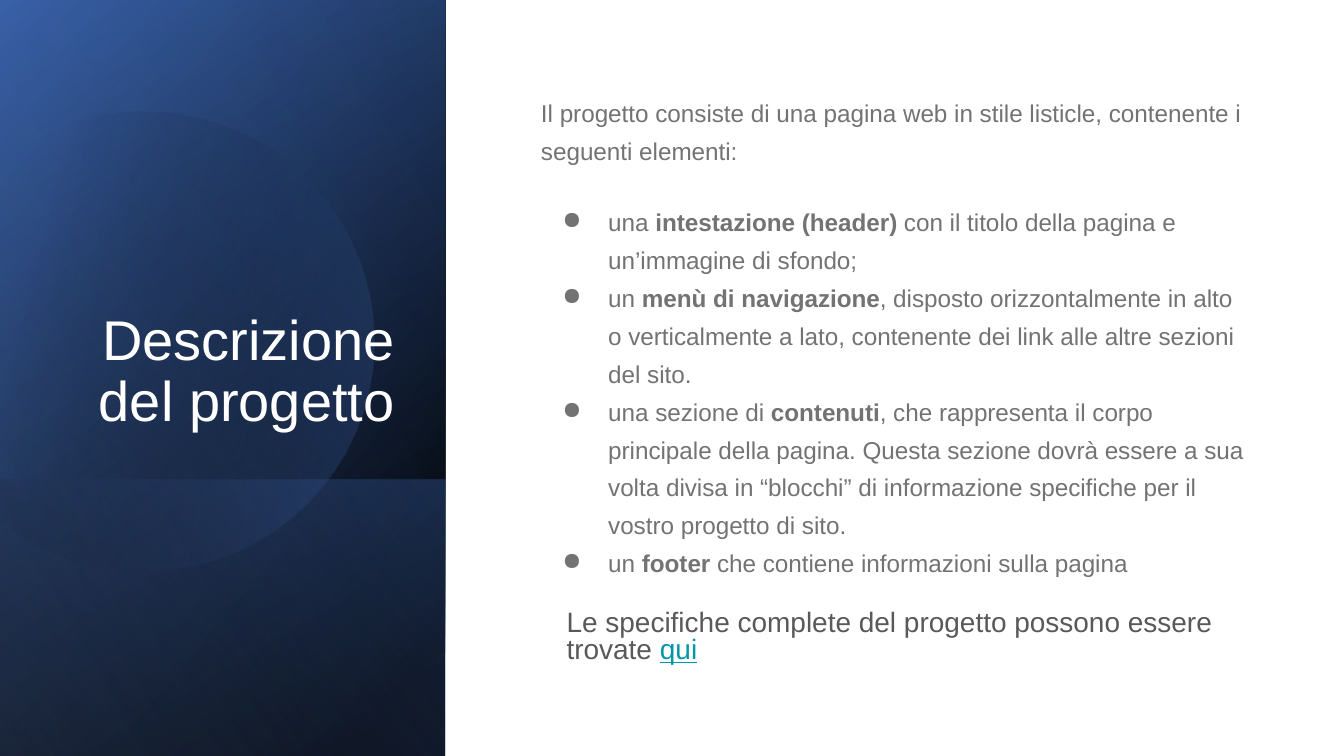
from math import cos, radians, sin

from pptx import Presentation
from pptx.dml.color import RGBColor
from pptx.enum.shapes import MSO_SHAPE
from pptx.enum.text import MSO_ANCHOR, PP_ALIGN
from pptx.oxml import parse_xml
from pptx.oxml.ns import nsdecls, qn
from pptx.util import Pt

RECT = MSO_SHAPE.RECTANGLE
BOTTOM, MIDDLE = MSO_ANCHOR.BOTTOM, MSO_ANCHOR.MIDDLE
LEFT, RIGHT = PP_ALIGN.LEFT, PP_ALIGN.RIGHT
WHITE = RGBColor(0xFF, 0xFF, 0xFF)
BLACK = RGBColor(0, 0, 0)
NAVY = RGBColor(0x2F, 0x54, 0x96)
BLUE = RGBColor(0x44, 0x72, 0xC4)
PALE = RGBColor(0x8D, 0xA9, 0xDB)
GRAY = RGBColor(0x73, 0x73, 0x73)
DARK = RGBColor(0x59, 0x59, 0x59)
TEAL = RGBColor(0, 0x97, 0xA7)

WIDE, HIGH, SIDE = 720, 405, 238.5
PANELS = [
    (0, HIGH, 50, [(0, BLACK, 100), (8, BLACK, 100), (100, NAVY, 100)]),
    (0, HIGH, 30, [(0, BLACK, 0), (99, BLUE, 46), (100, BLUE, 46)]),
    (257, 148, 130, [(0, BLUE, 29), (2, BLUE, 29), (100, BLACK, 30)]),
]
GLOW = [(0, BLACK, 0), (29, BLACK, 0), (100, BLUE, 43)]
SHEEN = [(0, BLACK, 0), (99, PALE, 11), (100, PALE, 11)]
START = (79.9, 59.8)
CURVES = [
    [(132.5, 60.5), (180.7, 95.8), (195.8, 149)],
    [(214.6, 213.8), (177.1, 282.2), (111.6, 301)],
    [(70.6, 313.2), (28.8, 303.1), (-1.4, 277.2)],
    [(-7.9, 271.4)],
    [(-7.9, 94.3)],
    [(0, 87.1)],
    [(12.2, 77), (27.4, 69.1), (43.2, 64.1)],
    [(55.4, 61.2), (67.7, 59), START],
]
INTRO = "Il progetto consiste di una pagina web in stile listicle, contenente i seguenti elementi:"
ITEMS = [
    ("una ", "intestazione (header)", " con il titolo della pagina e un’immagine di sfondo;"),
    ("un ", "menù di navigazione", ", disposto orizzontalmente in alto o verticalmente a lato, "
     "contenente dei link alle altre sezioni del sito."),
    ("una sezione di ", "contenuti", ", che rappresenta il corpo principale della pagina. "
     "Questa sezione dovrà essere a sua volta divisa in “blocchi” di informazione specifiche "
     "per il vostro progetto di sito."),
    ("un ", "footer", " che contiene informazioni sulla pagina"),
]


def trace(start, curves, steps=16):
    """Return points along a chain of lines and cubic curves."""
    points = [start]
    for curve in curves:
        if len(curve) == 1:
            points += curve
            continue
        ends = [points[-1], *curve]
        for step in range(1, steps + 1):
            t = step / steps
            parts = ((1 - t) ** 3, 3 * t * (1 - t) ** 2, 3 * t * t * (1 - t), t ** 3)
            points.append(tuple(sum(k * p[i] for k, p in zip(parts, ends)) for i in (0, 1)))
    return points


class Deck:
    """Holds the style and the current slide."""

    font = "Arial"

    def __init__(self):
        self.show = Presentation()
        self.show.slide_width, self.show.slide_height = Pt(WIDE), Pt(HIGH)
        self.slide = self.show.slides.add_slide(self.show.slide_layouts[6])

    def rect(self, x, y, w, h, color=WHITE):
        shape = self.slide.shapes.add_shape(RECT, Pt(x), Pt(y), Pt(w), Pt(h))
        shape.shadow.inherit = False
        shape.line.fill.background()
        shape.fill.solid()
        shape.fill.fore_color.rgb = color
        return shape

    def fade(self, shape, angle, stops):
        marks = "".join(
            f'<a:gs pos="{pos * 1000}"><a:srgbClr val="{color}">'
            f'<a:alpha val="{alpha * 1000}"/></a:srgbClr></a:gs>'
            for pos, color, alpha in stops)
        grad = parse_xml(
            f'<a:gradFill {nsdecls("a")} rotWithShape="1"><a:gsLst>{marks}</a:gsLst>'
            f'<a:lin ang="{angle * 60000}" scaled="0"/></a:gradFill>')
        props = shape._element.spPr
        props.replace(props.find(qn("a:solidFill")), grad)

    def panel(self, y, h, angle, stops):
        shape = self.rect((SIDE - h) / 2, y + (h - SIDE) / 2, h, SIDE)
        shape.rotation = 90
        shape._element.spPr.find(qn("a:xfrm")).set("flipH", "1")
        self.fade(shape, angle, stops)

    def disc(self, points, mid, turn, angle, stops):
        c, s = cos(radians(-turn)), sin(radians(-turn))
        spun = []
        for x, y in points:
            dx, dy = x - mid[0], y - mid[1]
            spun.append((Pt(mid[0] + c * dx - s * dy), Pt(mid[1] + s * dx + c * dy)))
        pen = self.slide.shapes.build_freeform(*spun[0])
        pen.add_line_segments(spun[1:], close=True)
        shape = pen.convert_to_shape()
        shape.shadow.inherit = False
        shape.line.fill.background()
        shape.fill.solid()
        shape.rotation = turn
        self.fade(shape, angle, stops)

    def box(self, x, y, w, h, anchor):
        frame = self.slide.shapes.add_textbox(Pt(x), Pt(y), Pt(w), Pt(h)).text_frame
        frame.word_wrap = True
        frame.vertical_anchor = anchor
        frame.margin_left = frame.margin_right = Pt(5.4)
        frame.margin_top = frame.margin_bottom = Pt(2.7)
        return frame

    def para(self, frame, space, before=0, align=LEFT, indent=0, bullet=False):
        para = frame.paragraphs[0]
        if para.runs:
            para = frame.add_paragraph()
        para.alignment = align
        para.line_spacing = space
        para.space_before = Pt(before)
        props = para._p.get_or_add_pPr()
        props.set("marL", str(Pt(indent)))
        if bullet:
            props.set("indent", str(Pt(-24.5)))
            props.append(parse_xml(
                f'<a:buClr {nsdecls("a")}><a:srgbClr val="{GRAY}"/></a:buClr>'))
            props.append(parse_xml(f'<a:buChar {nsdecls("a")} char="●"/>'))
        return para

    def run(self, para, text, size=13, color=GRAY, bold=False, under=False):
        run = para.add_run()
        run.text = text
        font = run.font
        font.name, font.size, font.bold, font.underline = self.font, Pt(size), bold, under
        font.color.rgb = color


def main():
    deck = Deck()
    deck.rect(0, 0, WIDE, HIGH)
    for panel in PANELS:
        deck.panel(*panel)
    deck.disc(trace(START, CURVES), (85.7, 180.7), -16.1, 30, GLOW)
    deck.panel(0, HIGH, 120, SHEEN)

    title = deck.box(27.4, 34.6, 189.4, 200.2, BOTTOM)
    deck.run(deck.para(title, 0.9, align=RIGHT), "Descrizione del progetto", 30, WHITE)

    body = deck.box(284.4, 38.2, 387.4, 327.6, MIDDLE)
    deck.run(deck.para(body, 1.3, 18), INTRO)
    for i, (lead, term, rest) in enumerate(ITEMS):
        para = deck.para(body, 1.3, 0 if i else 18, indent=36, bullet=True)
        deck.run(para, lead)
        deck.run(para, term, bold=True)
        deck.run(para, rest)
    para = deck.para(body, 0.8, 18, indent=13.7)
    deck.run(para, "Le specifiche complete del progetto possono essere trovate ", 15, DARK)
    deck.run(para, "qui", 15, TEAL, under=True)
    deck.show.save("out.pptx")


if __name__ == "__main__":
    main()
